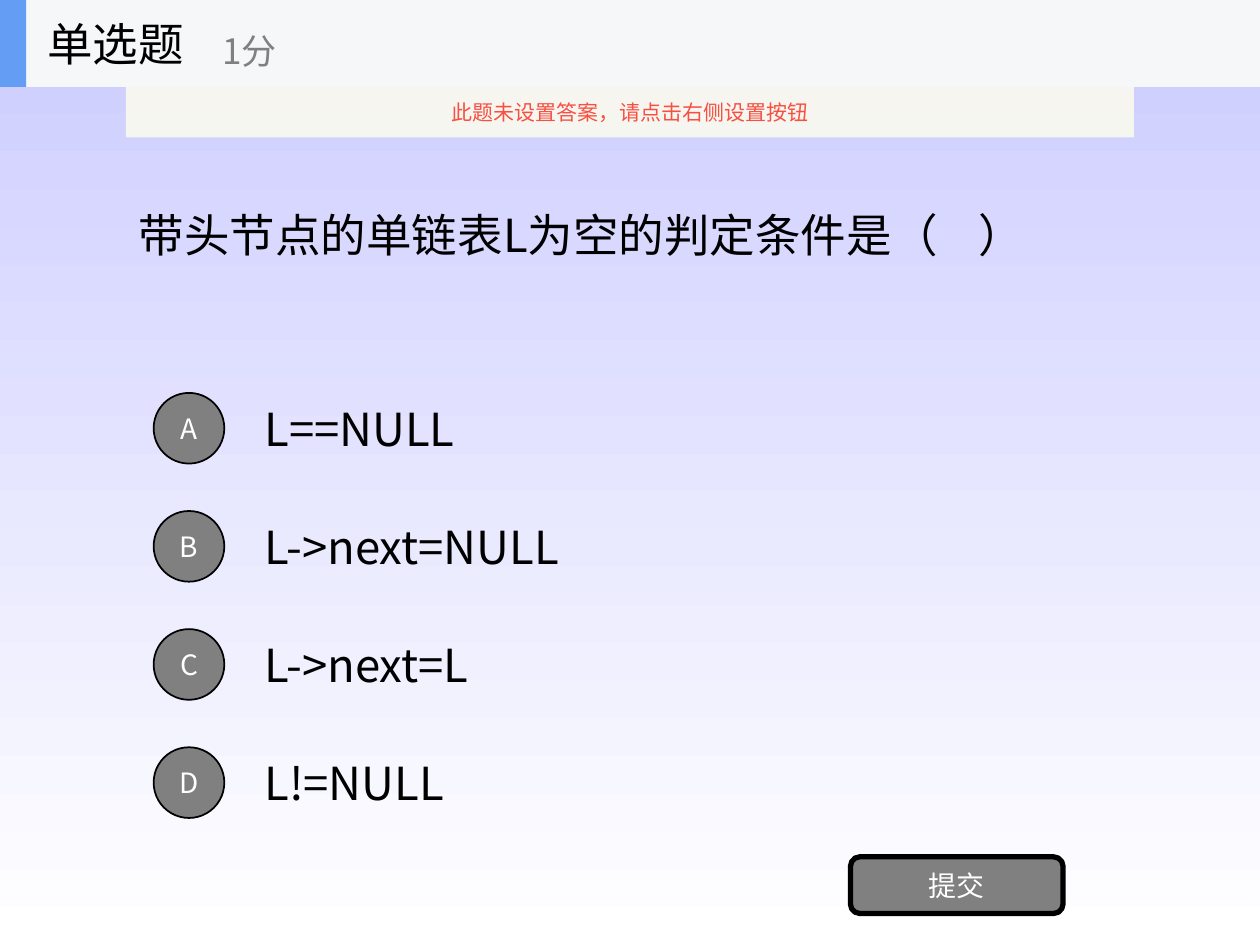
from dataclasses import dataclass

from lxml.etree import SubElement
from pptx import Presentation
from pptx.dml.color import RGBColor
from pptx.enum.shapes import MSO_SHAPE as Shape
from pptx.enum.text import MSO_ANCHOR as Anchor, PP_ALIGN as Align
from pptx.oxml.ns import qn
from pptx.util import Pt

FONT = "Noto Sans CJK SC"
COLORS = {
    "sky": "CCCCFF", "white": "FFFFFF", "black": "000000", "gray": "808080",
    "header": "F6F7F8", "accent": "639EF4", "cream": "FBFAEF", "red": "F84F41",
}


@dataclass
class Box:
    x: float
    y: float
    w: float
    h: float

    def pts(self) -> tuple:
        return Pt(self.x), Pt(self.y), Pt(self.w), Pt(self.h)


@dataclass
class Option:
    letter: str
    answer: str


def rgb(name: str) -> RGBColor:
    return RGBColor.from_string(COLORS[name])


def write(s, text: str, size=26, color="black", align=Align.LEFT, wrap=True):
    tf = s.text_frame
    tf.word_wrap = wrap
    tf.vertical_anchor = Anchor.MIDDLE
    p = tf.paragraphs[0]
    p.alignment = align
    r = p.add_run()
    r.text = text
    r.font.size = Pt(size)
    r.font.name = FONT
    r.font.color.rgb = rgb(color)
    # East Asian glyphs take their own typeface
    SubElement(r.font._element, qn("a:ea")).set("typeface", FONT)


def add_label(shapes, box: Box, text: str, **fmt):
    write(shapes.add_textbox(*box.pts()), text, **fmt)


def add_block(shapes, kind, box: Box, fill: str, line_width: float = 0):
    s = shapes.add_shape(kind, *box.pts())
    s.shadow.inherit = False
    s.fill.solid()
    s.fill.fore_color.rgb = rgb(fill)
    if line_width:
        s.line.color.rgb = rgb("black")
        s.line.width = Pt(line_width)
    else:
        s.line.fill.background()
    return s


def add_button(shapes, kind, box: Box, text: str, line_width: float):
    s = add_block(shapes, kind, box, "gray", line_width)
    write(s, text, size=16, color="white", align=Align.CENTER, wrap=False)


def add_option(shapes, option: Option, top: float):
    height, badge = 50.4, 40.4
    add_label(shapes, Box(144, top, 504, height), option.answer)
    add_button(shapes, Shape.OVAL,
               Box(87.8, top + (height - badge) / 2, badge, badge), option.letter, 1)


def main():
    prs = Presentation()
    prs.slide_width, prs.slide_height = Pt(720), Pt(540)
    slide = prs.slides.add_slide(prs.slide_layouts[5])
    shapes = slide.shapes

    # Background fading downwards
    bg = slide.background.fill
    bg.gradient()
    bg.gradient_angle = 270
    for stop, name in zip(bg.gradient_stops, ("sky", "white")):
        stop.color.rgb = rgb(name)

    # Question
    header_h = 49.7
    title = shapes.title
    title.left, title.top, title.width, title.height = Box(72, header_h, 576, 168.5).pts()
    write(title, "带头节点的单链表L为空的判定条件是（    ）")

    # Answer options
    options = [Option("A", "L==NULL"), Option("B", "L->next=NULL"),
               Option("C", "L->next=L"), Option("D", "L!=NULL")]
    for i, option in enumerate(options):
        add_option(shapes, option, 219.5 + i * 67.5)

    # Submit button
    add_button(shapes, Shape.ROUNDED_RECTANGLE, Box(486, 489.6, 121.5, 32.4), "提交", 3)

    # Header bar
    header = shapes.add_group_shape().shapes
    add_block(header, Shape.RECTANGLE, Box(0, 0, 720, header_h), "header")
    add_block(header, Shape.RECTANGLE, Box(0, 0, 15, header_h), "accent")
    add_label(header, Box(20, 0, 150, header_h), "单选题")
    add_label(header, Box(120, 8.6, 180, 40.3), "1分", size=20, color="gray")

    # Warning strip, slightly transparent
    strip = add_block(shapes, Shape.RECTANGLE, Box(72, header_h, 576, 28.8), "cream")
    color = strip.fill._xPr.find(qn("a:solidFill"))[0]
    SubElement(color, qn("a:alpha")).set("val", "90000")
    write(strip, "此题未设置答案，请点击右侧设置按钮", size=12, color="red",
          align=Align.CENTER, wrap=False)

    prs.save("out.pptx")


if __name__ == "__main__":
    main()
